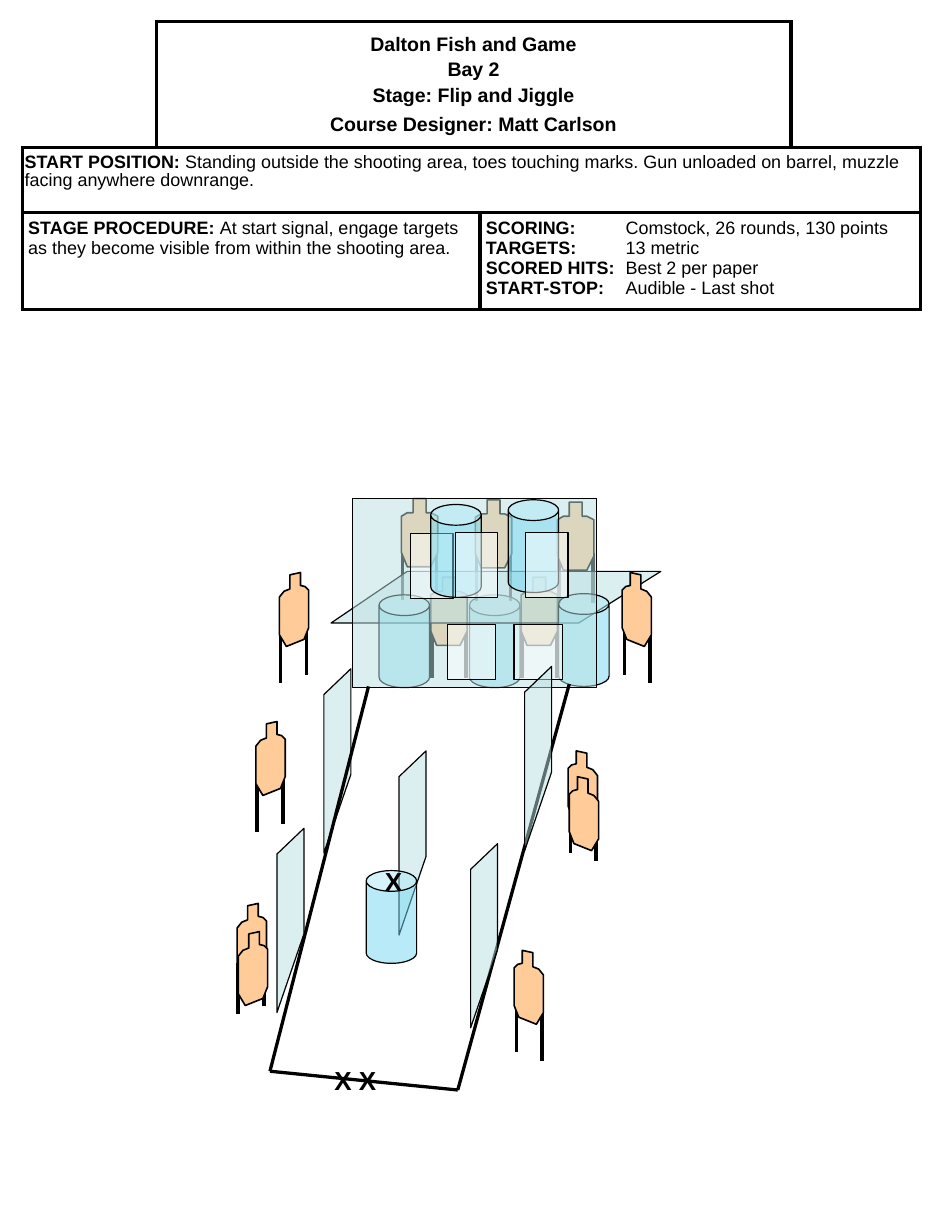
from lxml.etree import SubElement
from pptx import Presentation
from pptx.dml.color import RGBColor
from pptx.enum.shapes import MSO_CONNECTOR, MSO_SHAPE
from pptx.enum.text import MSO_ANCHOR, PP_ALIGN
from pptx.oxml.ns import qn
from pptx.util import Inches, Pt

BLACK = RGBColor(0x00, 0x00, 0x00)
WHITE = RGBColor(0xFF, 0xFF, 0xFF)
TAN = RGBColor(0xFF, 0xCC, 0x99)
GLASS = RGBColor(0xBB, 0xE0, 0xE3)
BARREL = RGBColor(0x73, 0xD9, 0xF1)

# Briefing: paragraphs are lists of (text, bold)
TITLE = [[(t, True)] for t in ("Dalton Fish and Game", "Bay 2", "Stage: Flip and Jiggle",
                               "Course Designer: Matt Carlson")]
START = [[("START POSITION:", True),
          (" Standing outside the shooting area, toes touching marks. Gun unloaded on barrel, "
           "muzzle facing anywhere downrange.", False)]]
PROCEDURE = [[("STAGE PROCEDURE: ", True),
              ("At start signal, engage targets as they become visible from within the "
               "shooting area.", False)]]
SCORING = [[(label, True), ("\t" + value, False)] for label, value in (
    ("SCORING:", "Comstock, 26 rounds, 130 points"), ("TARGETS:", "13 metric"),
    ("SCORED HITS:", "Best 2 per paper"), ("START-STOP:", "Audible - Last shot"))]
COLS = [1.14, 2.76, 2.65, 1.1]
ROWS = [1.08, 0.55, 0.83]
# row, first column, last column, paragraphs, size, side inset
CELLS = [(0, 1, 2, TITLE, 12, 0.05), (1, 0, 3, START, 11, 0.02),
         (2, 0, 1, PROCEDURE, 11, 0.05), (2, 2, 3, SCORING, 11, 0.05)]
CORNERS = {(0, 0): "RB", (0, 3): "LB"}

# Outlines relative to the top left corner of each piece
FRONT = [(0.1, 0), (0.21, 0), (0.21, 0.12), (0.25, 0.12), (0.31, 0.15), (0.31, 0.46),
         (0.25, 0.58), (0.05, 0.58), (0, 0.46), (0, 0.15), (0.05, 0.12), (0.1, 0.12)]
SIDE = [(0.09, 0.02), (0.18, 0), (0.18, 0.11), (0.22, 0.12), (0.25, 0.15), (0.25, 0.47),
        (0.21, 0.57), (0.06, 0.63), (0, 0.53), (0, 0.21), (0.04, 0.16), (0.09, 0.14)]
FRONT_LEGS = [(0.01, 0.43), (0.3, 0.43)]
SIDE_LEGS = [(0.01, 0.51), (0.23, 0.44)]
LEG = 0.43
SIDE_W = 0.25
PANEL = [(0.23, 0.9), (0, 1.57), (0, 0.22), (0.23, 0)]
ROOF = [(2.81, 0), (0.65, 0), (0, 0.44), (2.11, 0.44)]

# Stage from back to front: kind, then position and size
STAGE = [
    ("front", 3.42, 4.25), ("front", 3.67, 4.92), ("front", 4.05, 4.26),
    ("barrel", 4, 5.07), ("front", 4.75, 4.28), ("front", 4.44, 4.92),
    ("roof", 2.82, 4.87), ("panel", 2.76, 5.7), ("barrel", 3.23, 5.07), ("barrel", 4.76, 5.06),
    ("wall", 3, 4.25, 2.08, 1.61), ("window", 3.5, 4.55, 0.36, 0.55),
    ("window", 3.81, 5.32, 0.41, 0.47), ("barrel", 3.67, 4.3), ("barrel", 4.33, 4.26),
    ("window", 4.38, 5.32, 0.41, 0.47), ("window", 3.88, 4.54, 0.36, 0.55),
    ("window", 4.48, 4.54, 0.36, 0.55),
    ("rail", 2.3, 9.13, 3.14, 5.85), ("rail", 3.9, 9.29, 4.85, 5.83),
    ("right", 2.38, 4.88), ("left", 5.3, 4.88), ("panel", 4.47, 5.68), ("left", 4.84, 6.4),
    ("right", 2.18, 6.15), ("panel", 3.4, 6.4), ("panel", 2.36, 7.06), ("panel", 4.01, 7.19),
    ("right", 2.02, 7.7), ("left", 4.38, 8.1),
    ("left", 4.85, 6.62, False), ("right", 2.03, 7.94, False),
    ("rail", 2.3, 9.13, 3.9, 9.29), ("barrel", 3.12, 7.42),
    ("mark", 2.75, 9.02, 0.58, "X X"), ("mark", 3.18, 7.33, 0.33, "X"),
]


def write(tf, paragraphs, size):
    for i, runs in enumerate(paragraphs):
        p = tf.paragraphs[0] if i == 0 else tf.add_paragraph()
        for text, bold in runs:
            r = p.add_run()
            r.text = text
            for name, value in {"name": "Arial", "size": Pt(size), "bold": bold}.items():
                setattr(r.font, name, value)
            r.font.color.rgb = BLACK


def border(cell, sides):
    tc_pr = cell._tc.get_or_add_tcPr()
    for side in sides:
        ln = SubElement(tc_pr, qn("a:ln" + side), w=str(Pt(2.25)))
        SubElement(SubElement(ln, qn("a:solidFill")), qn("a:srgbClr"), val=str(BLACK))
    cell.fill.solid()
    cell.fill.fore_color.rgb = WHITE


def add_briefing(shapes):
    table = shapes.add_table(len(ROWS), len(COLS), Inches(0.19), Inches(0.18),
                             Inches(sum(COLS)), Inches(sum(ROWS))).table
    table.first_row = table.horz_banding = False
    for col, w in zip(table.columns, COLS):
        col.width = Inches(w)
    for i, h in enumerate(ROWS):
        table.rows[i].height = Inches(h)
        for j in range(len(COLS)):
            border(table.cell(i, j), CORNERS.get((i, j), "LRTB"))
    for row, first, last, paragraphs, size, inset in CELLS:
        cell = table.cell(row, first)
        cell.merge(table.cell(row, last))
        cell.margin_left = cell.margin_right = Inches(inset)
        cell.margin_top = cell.margin_bottom = Inches(0.05)
        write(cell.text_frame, paragraphs, size)
    title = table.cell(0, 1)
    title.vertical_anchor = MSO_ANCHOR.MIDDLE
    for p, gap in zip(title.text_frame.paragraphs, (0, 2.4, 2.4, 4.2)):
        p.alignment = PP_ALIGN.CENTER
        p.space_before = Pt(gap)
    table.cell(1, 0).text_frame.paragraphs[0].line_spacing = 0.9
    for p in table.cell(2, 2).text_frame.paragraphs:
        tabs = SubElement(p._p.get_or_add_pPr(), qn("a:tabLst"))
        SubElement(tabs, qn("a:tab"), pos=str(Inches(1.19)), algn="l")


def style(s, color, width=0.75, alpha=None):
    s.shadow.inherit = False
    s.fill.solid()
    s.fill.fore_color.rgb = color
    if alpha:
        clr = s._element.spPr.find(qn("a:solidFill"))[0]
        SubElement(clr, qn("a:alpha"), val=str(alpha * 1000))
    s.line.color.rgb = BLACK
    s.line.width = Pt(width)


def add_line(shapes, x1, y1, x2, y2, width):
    s = shapes.add_connector(MSO_CONNECTOR.STRAIGHT, *map(Inches, (x1, y1, x2, y2)))
    s.line.color.rgb = BLACK
    s.line.width = Pt(width)
    SubElement(s._element.spPr, qn("a:effectLst"))


def add_outline(shapes, x, y, points, *look):
    pts = [(Inches(x + dx), Inches(y + dy)) for dx, dy in points]
    builder = shapes.build_freeform(*pts[0], scale=1.0)
    builder.add_line_segments(pts[1:], close=True)
    style(builder.convert_to_shape(), *look)


def add_target(shapes, kind, x, y, legs=True):
    outline, feet = (FRONT, FRONT_LEGS) if kind == "front" else (SIDE, SIDE_LEGS)
    if kind == "left":
        outline, feet = ([(SIDE_W - dx, dy) for dx, dy in part] for part in (outline, feet))
    group = shapes.add_group_shape().shapes if legs else shapes
    if legs:
        for dx, dy in feet:
            add_line(group, x + dx, y + dy, x + dx, y + dy + LEG, 2.25)
    add_outline(group, x, y, outline, TAN, 1)


def add_preset(shapes, kind, x, y, w=0.43, h=0.79):
    preset, color = {"barrel": (MSO_SHAPE.CAN, BARREL), "wall": (MSO_SHAPE.RECTANGLE, GLASS),
                     "window": (MSO_SHAPE.RECTANGLE, WHITE)}[kind]
    s = shapes.add_shape(preset, *map(Inches, (x, y, w, h)))
    if kind == "barrel":
        s.adjustments[0] = 0.41
    style(s, color, 0.75, 50)


def add_piece(shapes, kind, x, y, *rest):
    if kind in ("front", "left", "right"):
        add_target(shapes, kind, x, y, *rest)
    elif kind in ("panel", "roof"):
        add_outline(shapes, x, y, PANEL if kind == "panel" else ROOF, GLASS, 0.75, 50)
    elif kind == "rail":
        add_line(shapes, x, y, *rest, 2)
    elif kind == "mark":
        w, text = rest
        tf = shapes.add_textbox(*map(Inches, (x, y, w, 0.37))).text_frame
        write(tf, [[(text, True)]], 16)
    else:
        add_preset(shapes, kind, x, y, *rest)


def main():
    prs = Presentation()
    prs.slide_width, prs.slide_height = Inches(8), Inches(10.5)
    shapes = prs.slides.add_slide(prs.slide_layouts[6]).shapes
    add_briefing(shapes)
    for piece in STAGE:
        add_piece(shapes, *piece)
    prs.save("out.pptx")


if __name__ == "__main__":
    main()
